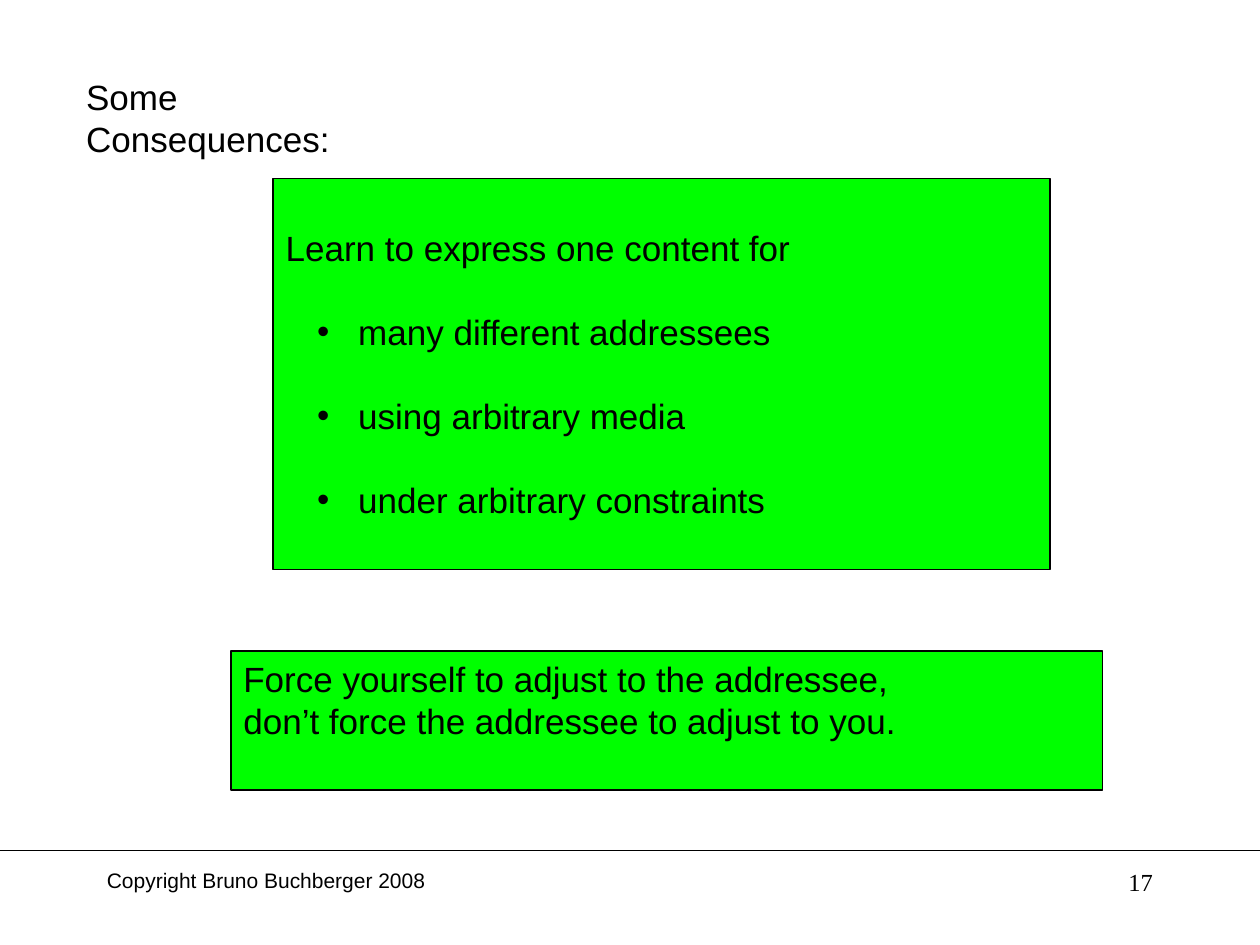
from lxml.etree import SubElement
from pptx import Presentation
from pptx.dml.color import RGBColor
from pptx.enum.shapes import MSO_CONNECTOR, MSO_SHAPE
from pptx.enum.text import MSO_ANCHOR, MSO_AUTO_SIZE, PP_ALIGN
from pptx.oxml.ns import qn
from pptx.util import Pt

TITLE = "Some Consequences:"
LEAD = "Learn to express one content for"
POINTS = [
    "many different addressees",
    "using arbitrary media",
    "under arbitrary constraints",
]
ADVICE = [
    "Force yourself to adjust to the addressee,",
    "don’t force the addressee to adjust to you.",
]
COPYRIGHT = "Copyright Bruno Buchberger 2008"
PAGE = "17"

THEME = {
    "font": "Arial",
    "page_font": "Times New Roman",
    "ink": RGBColor(0, 0, 0),
    "box": RGBColor(0, 255, 0),
    "text": 20,
    "footer": 12,
    "page": 14,
    "leading": 24,
    "line": 0.75,
}
WIDTH, HEIGHT = 720, 540
RULE_Y = 486
FOOTER_Y = 492
INSET_X, INSET_Y = 7.2, 3.6
BULLET_LEFT, BULLET_HANG = 41.5, 23.5


def place(sp, left, top, width, height):
    sp.left, sp.top, sp.width, sp.height = map(Pt, (left, top, width, height))


def setup_frame(sp, wrap=True, top=INSET_Y):
    tf = sp.text_frame
    tf.auto_size = MSO_AUTO_SIZE.NONE
    tf.word_wrap = wrap
    tf.vertical_anchor = MSO_ANCHOR.TOP
    tf.margin_left = tf.margin_right = Pt(INSET_X)
    tf.margin_top, tf.margin_bottom = Pt(top), Pt(INSET_Y)
    return tf


def write(tf, lines, size=THEME["text"], font=THEME["font"],
          align=PP_ALIGN.LEFT, leading=None, gap=0):
    for i, text in enumerate(lines):
        p = tf.add_paragraph() if i else tf.paragraphs[0]
        p.alignment = align
        p.space_before = Pt(gap if i else 0)
        p.space_after = Pt(0)
        if leading:
            p.line_spacing = Pt(leading)
        r = p.add_run()
        r.text = text
        r.font.size = Pt(size)
        r.font.name = font
        r.font.color.rgb = THEME["ink"]


def set_bullet(p, char=None):
    pPr = p._p.get_or_add_pPr()
    pPr.set("marL", str(Pt(BULLET_LEFT if char else 0)))
    pPr.set("indent", str(Pt(-BULLET_HANG if char else 0)))
    if char:
        SubElement(pPr, qn("a:buFont"), typeface=THEME["font"])
        SubElement(pPr, qn("a:buChar"), char=char)
    else:
        SubElement(pPr, qn("a:buNone"))


def paint_box(sp):
    sp.fill.solid()
    sp.fill.fore_color.rgb = THEME["box"]
    sp.line.color.rgb = THEME["ink"]
    sp.line.width = Pt(THEME["line"])


def main():
    prs = Presentation()
    prs.slide_width, prs.slide_height = Pt(WIDTH), Pt(HEIGHT)
    s = prs.slides.add_slide(prs.slide_layouts[1])
    leading = THEME["leading"]

    rule = s.shapes.add_connector(
        MSO_CONNECTOR.STRAIGHT, Pt(0), Pt(RULE_Y), Pt(WIDTH), Pt(RULE_Y))
    rule.line.color.rgb = THEME["ink"]
    rule.line.width = Pt(THEME["line"])
    SubElement(rule._element.spPr, qn("a:effectLst"))

    footer = s.shapes.add_textbox(Pt(54), Pt(FOOTER_Y), Pt(196.5), Pt(21.6))
    write(setup_frame(footer, wrap=False), [COPYRIGHT], THEME["footer"])

    title = s.shapes.title
    place(title, 42, 39.6, 211.5, 31.5)
    write(setup_frame(title, wrap=False), [TITLE], leading=leading)

    body = s.placeholders[1]
    place(body, 156, 102, 444, 223.5)
    paint_box(body)
    tf = setup_frame(body, top=INSET_Y + leading)
    write(tf, [LEAD] + POINTS, leading=leading, gap=leading)
    for i, p in enumerate(tf.paragraphs):
        set_bullet(p, "•" if i else None)

    advice = s.shapes.add_shape(
        MSO_SHAPE.RECTANGLE, Pt(132), Pt(372), Pt(498), Pt(79.5))
    advice.shadow.inherit = False
    paint_box(advice)
    write(setup_frame(advice), ADVICE, leading=leading)

    page = s.shapes.add_textbox(Pt(516), Pt(FOOTER_Y), Pt(150), Pt(36))
    write(setup_frame(page), [PAGE], THEME["page"], THEME["page_font"],
          PP_ALIGN.RIGHT)

    prs.save("out.pptx")


if __name__ == "__main__":
    main()
